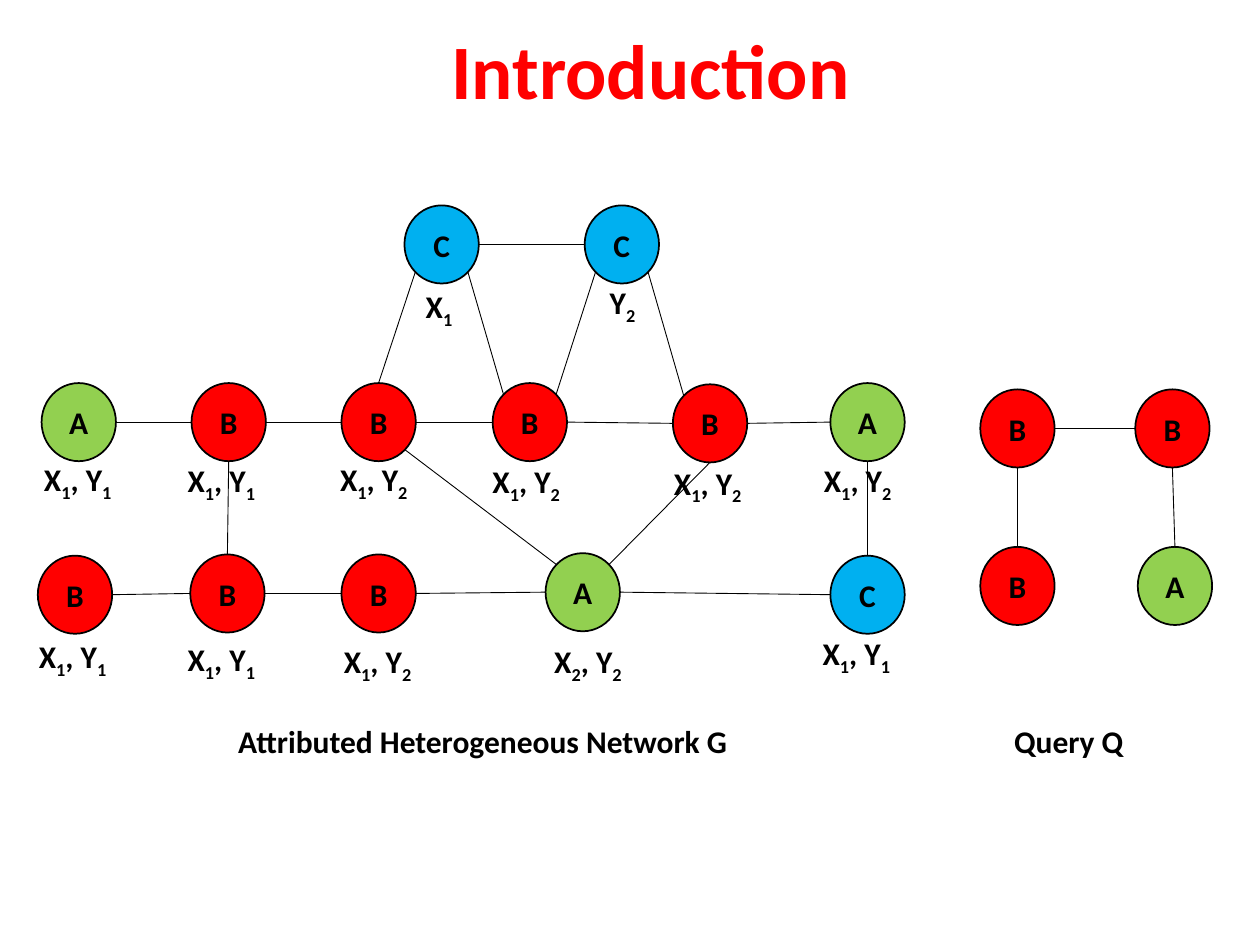
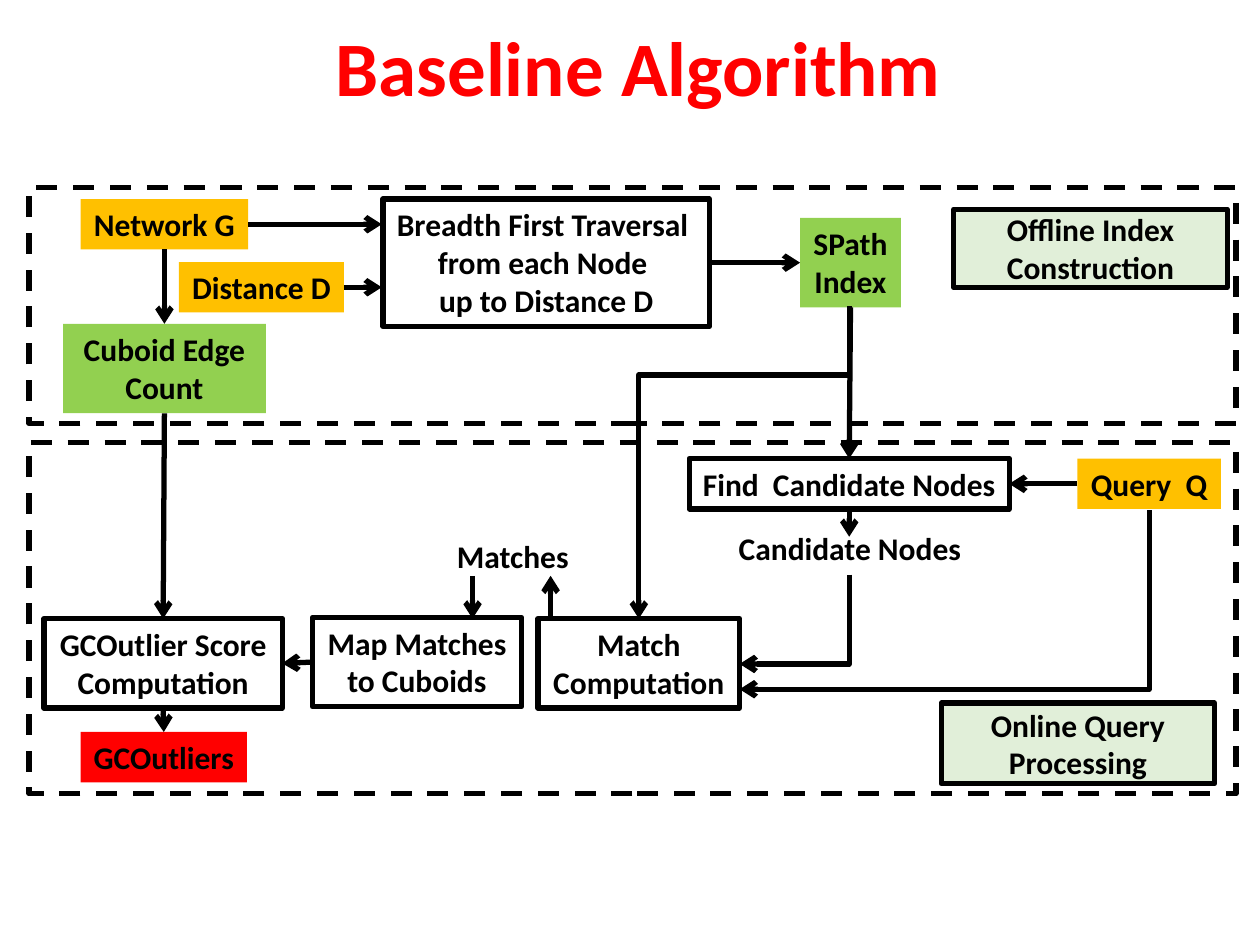
"""Builds two slides: a heterogeneous network with its query, and the baseline algorithm flow."""
from math import cos, radians, sin

from lxml import etree
from pptx import Presentation
from pptx.dml.color import RGBColor
from pptx.enum.dml import MSO_LINE
from pptx.enum.shapes import MSO_CONNECTOR, MSO_SHAPE
from pptx.enum.text import MSO_ANCHOR, PP_ALIGN
from pptx.oxml.ns import qn
from pptx.util import Inches, Pt

STRAIGHT, ELBOW = MSO_CONNECTOR.STRAIGHT, MSO_CONNECTOR.ELBOW
RECT, OVAL = MSO_SHAPE.RECTANGLE, MSO_SHAPE.OVAL
LEFT, CENTER = PP_ALIGN.LEFT, PP_ALIGN.CENTER
TOP_ANCHOR, MIDDLE = MSO_ANCHOR.TOP, MSO_ANCHOR.MIDDLE
TOP, WEST, BOTTOM, EAST = range(4)

FONT = "Calibri"
BLACK, RED, GREEN, BLUE = "000000", "FF0000", "92D050", "00B0F0"
AMBER, PALE_GREEN = "FFC000", "C5E0B4"

NODE_W, NODE_H = 0.59, 0.62
TYPE_COLORS = {"A": GREEN, "B": RED, "C": BLUE}
COMPASS = {"E": 0, "SE": 45, "S": 90, "SW": 135, "W": 180, "NW": 225, "N": 270}

NODES = {
    "mid1": ("A", 0.33, 3.04), "mid2": ("B", 1.52, 3.04), "mid3": ("B", 2.71, 3.04),
    "mid4": ("B", 3.91, 3.04), "mid5": ("B", 5.34, 3.05), "mid6": ("A", 6.59, 3.04),
    "low1": ("B", 0.3, 4.41), "low2": ("B", 1.51, 4.4), "low3": ("B", 2.71, 4.4),
    "low4": ("A", 4.33, 4.39), "low5": ("C", 6.59, 4.41),
    "top1": ("C", 3.21, 1.63), "top2": ("C", 4.64, 1.63),
    "query1": ("B", 7.78, 3.09), "query2": ("B", 9.01, 3.09),
    "query3": ("B", 7.78, 4.34), "query4": ("A", 9.03, 4.34),
}
EDGES = [
    ("mid1", "E", "mid2", "W"), ("mid2", "E", "mid3", "W"), ("mid3", "E", "mid4", "W"),
    ("mid4", "E", "mid5", "W"), ("mid5", "E", "mid6", "W"),
    ("low1", "E", "low2", "W"), ("low2", "E", "low3", "W"), ("low3", "E", "low4", "W"),
    ("low4", "E", "low5", "W"), ("top1", "E", "top2", "W"),
    ("mid2", "S", "low2", "N"), ("mid6", "S", "low5", "N"),
    ("mid3", "N", "top1", "SW"), ("top1", "SE", "mid4", "NW"),
    ("mid4", "NE", "top2", "SW"), ("top2", "SE", "mid5", "NW"),
    ("mid3", "SE", "low4", "NW"), ("low4", "NE", "mid5", "S"),
    ("query1", "E", "query2", "W"), ("query1", "S", "query3", "N"),
    ("query2", "S", "query4", "N"),
]
COMPASS["NE"] = 315
ATTRIBUTES = [
    ("X1, Y1", 0.25, 3.6), ("X1, Y1", 1.39, 3.61), ("X1, Y2", 2.6, 3.6),
    ("X1, Y2", 3.81, 3.62), ("X1, Y2", 5.25, 3.63), ("X1, Y2", 6.44, 3.61),
    ("X1, Y1", 0.21, 5.01), ("X1, Y1", 1.39, 5.03), ("X1, Y2", 2.63, 5.05),
    ("X2, Y2", 4.3, 5.05), ("X1, Y1", 6.43, 4.98),
    ("X1", 3.28, 2.23), ("Y2", 4.74, 2.2),
]

PHASES = [
    ("Offline Index Construction", (0.23, 1.49, 9.58, 1.87), (7.57, 1.66, 2.17, 0.62)),
    ("Online Query Processing", (0.23, 3.51, 9.58, 2.79), (7.47, 5.58, 2.17, 0.64)),
]
STEPS = {
    "network": ("Network G", (0.64, 1.58, 1.33, 0.4), AMBER),
    "distance": ("Distance D", (1.42, 2.08, 1.31, 0.4), AMBER),
    "traversal": ("Breadth First Traversal \nfrom each Node \nup to Distance D",
                  (3.04, 1.58, 2.59, 1.01), None),
    "spath": ("SPath\nIndex", (6.35, 1.73, 0.8, 0.71), GREEN),
    "cuboid": ("Cuboid Edge Count", (0.5, 2.57, 1.61, 0.71), GREEN),
    "find": ("Find  Candidate Nodes", (5.47, 3.64, 2.54, 0.4), None),
    "query": ("Query  Q", (8.55, 3.64, 1.14, 0.4), AMBER),
    "match": ("Match Computation", (4.27, 4.91, 1.6, 0.71), None),
    "map": ("Map Matches to Cuboids", (2.48, 4.9, 1.66, 0.71), None),
    "score": ("GCOutlier Score Computation", (0.35, 4.91, 1.89, 0.71), None),
    "outliers": ("GCOutliers", (0.64, 5.81, 1.32, 0.4), RED),
}
RESULTS = [
    ("Candidate Nodes", (5.72, 4.15, 2.05, 0.4)),
    ("Matches", (3.52, 4.21, 1.1, 0.4)),
]
JOINS = [
    ("network", BOTTOM, "cuboid", TOP), ("traversal", EAST, "spath", WEST),
    ("spath", BOTTOM, "find", TOP), ("query", WEST, "find", EAST),
    ("cuboid", BOTTOM, "score", TOP), ("map", WEST, "score", EAST),
    ("score", BOTTOM, "outliers", TOP),
]
HALF_JOINS = [
    ("network", EAST, (1.97, 1.78), (3.03, 1.78)),
    ("distance", EAST, (2.73, 2.28), (3.03, 2.28)),
    ("find", BOTTOM, (6.74, 4.04), (6.74, 4.26)),
]
FREE_ARROWS = [((4.37, 4.91), (4.37, 4.57)), ((3.75, 4.57), (3.75, 4.91))]
ELBOWS = [
    ((6.74, 4.56), (5.87, 5.27), None),
    ((9.12, 4.05), (5.87, 5.47), None),
    ((6.74, 2.43), (5.07, 4.91), 0.22),
]


def rgb(color):
    return RGBColor.from_string(color)


def style_text(sp, text, size=18, color=BLACK, align=CENTER, anchor=TOP_ANCHOR, wrap=True):
    tf = sp.text_frame
    tf.text = text
    tf.word_wrap = wrap
    tf.vertical_anchor = anchor
    for p in tf.paragraphs:
        p.alignment = align
        for r in p.runs:
            style_run(r, size, color)
    return tf


def style_run(r, size=18, color=BLACK):
    r.font.name, r.font.size, r.font.bold = FONT, Pt(size), True
    r.font.color.rgb = rgb(color)


def add_text(s, text, box, **style):
    return style_text(s.shapes.add_textbox(*map(Inches, box)), text, **style)


def add_title(s, text, box, spacing):
    tf = add_text(s, text, box, size=44, color=RED)
    tf.paragraphs[0].line_spacing = spacing


def add_box(s, kind, box, fill=None, line=None):
    sp = s.shapes.add_shape(kind, *map(Inches, box))
    sp.shadow.inherit = False
    if fill:
        sp.fill.solid()
        sp.fill.fore_color.rgb = rgb(fill)
    else:
        sp.fill.background()
    if line:
        sp.line.color.rgb = rgb(BLACK)
        sp.line.width = Pt(line)
    else:
        sp.line.fill.background()
    return sp


def add_line(s, start, end, width, kind=STRAIGHT, arrow=False):
    c = s.shapes.add_connector(kind, *map(Inches, (*start, *end)))
    c.line.color.rgb = rgb(BLACK)
    c.line.width = Pt(width)
    if arrow:
        etree.SubElement(c.line._get_or_add_ln(), qn("a:tailEnd"), type="arrow")
    etree.SubElement(c._element.spPr, qn("a:effectLst"))
    return c


def add_arrow(s, start, end, kind=STRAIGHT):
    return add_line(s, start, end, 3, kind, arrow=True)


def add_elbow(s, start, end, bend):
    """Leave start downwards and reach end to the lower left, as a quarter-turned connector."""
    (x1, y1), (x2, y2) = start, end
    w, h = y2 - y1, x1 - x2
    left, top = (x1 + x2 - w) / 2, (y1 + y2 - h) / 2
    c = add_arrow(s, (left, top), (left + w, top + h), ELBOW)
    spPr = c._element.spPr
    spPr.find(qn("a:xfrm")).set("rot", "5400000")
    geom = spPr.find(qn("a:prstGeom"))
    if bend is None:
        geom.set("prst", "bentConnector2")
    else:
        guides = geom.find(qn("a:avLst"))
        etree.SubElement(guides, qn("a:gd"), name="adj1", fmla=f"val {round(bend * 100000)}")


def rim_point(node, direction):
    _, left, top = NODES[node]
    angle = radians(COMPASS[direction])
    return (left + NODE_W / 2 * (1 + cos(angle)), top + NODE_H / 2 * (1 + sin(angle)))


def add_attribute(s, text, left, top):
    p = add_text(s, "", (left, top, 0.85, 0.4), align=LEFT).paragraphs[0]
    for part in text.replace("1", "|1|").replace("2", "|2|").strip("|").split("|"):
        r = p.add_run()
        r.text = part
        style_run(r)
        if part.isdigit():
            r._r.get_or_add_rPr().set("baseline", "-25000")


def build_network(s):
    add_title(s, "Introduction", (0.04, 0.27, 10.25, 0.72), 0.8)
    for kind, left, top in NODES.values():
        sp = add_box(s, OVAL, (left, top, NODE_W, NODE_H), TYPE_COLORS[kind], 1)
        style_text(sp, kind, anchor=MIDDLE)
    for a, side_a, b, side_b in EDGES:
        add_line(s, rim_point(a, side_a), rim_point(b, side_b), 0.5)
    for attribute in ATTRIBUTES:
        add_attribute(s, *attribute)
    add_text(s, "Attributed Heterogeneous Network G ", (-0.08, 5.68, 7.88, 0.4))
    add_text(s, "Query Q", (7.95, 5.68, 1.75, 0.4), align=LEFT)


def build_algorithm(s):
    add_title(s, "Baseline Algorithm", (0.07, 0.19, 10, 0.69), 0.9)
    for name, frame, tag in PHASES:
        add_box(s, RECT, frame, line=3).line.dash_style = MSO_LINE.DASH
        sp = add_box(s, RECT, tag, PALE_GREEN, 3)
        color = sp._element.spPr.find(qn("a:solidFill"))[0]
        etree.SubElement(color, qn("a:alpha"), val="50000")
        style_text(sp, name, anchor=MIDDLE)
    steps = {}
    for key, (text, box, fill) in STEPS.items():
        steps[key] = add_box(s, RECT, box, fill, None if fill else 3)
        style_text(steps[key], text, wrap="\n" not in text and box[3] > 0.4)
    for text, box in RESULTS:
        add_text(s, text, box, wrap=False)
    for a, side_a, b, side_b in JOINS:
        c = add_arrow(s, (0, 0), (1, 1))
        c.begin_connect(steps[a], side_a)
        c.end_connect(steps[b], side_b)
    for key, side, start, end in HALF_JOINS:
        add_arrow(s, start, end).begin_connect(steps[key], side)
    for start, end in FREE_ARROWS:
        add_arrow(s, start, end)
    for elbow in ELBOWS:
        add_elbow(s, *elbow)


def main():
    prs = Presentation()
    prs.slide_width, prs.slide_height = Inches(10), Inches(7.5)
    for build in (build_network, build_algorithm):
        build(prs.slides.add_slide(prs.slide_layouts[6]))
    prs.save("out.pptx")


if __name__ == "__main__":
    main()
